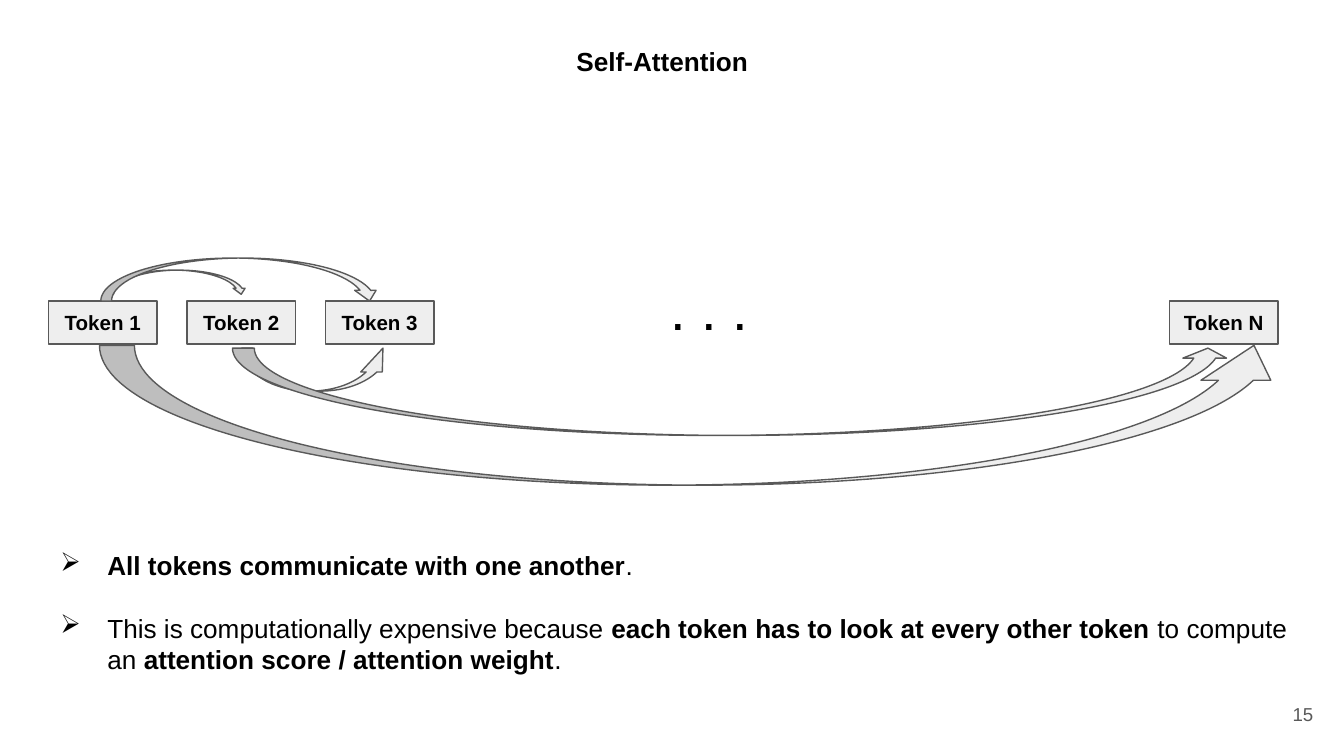
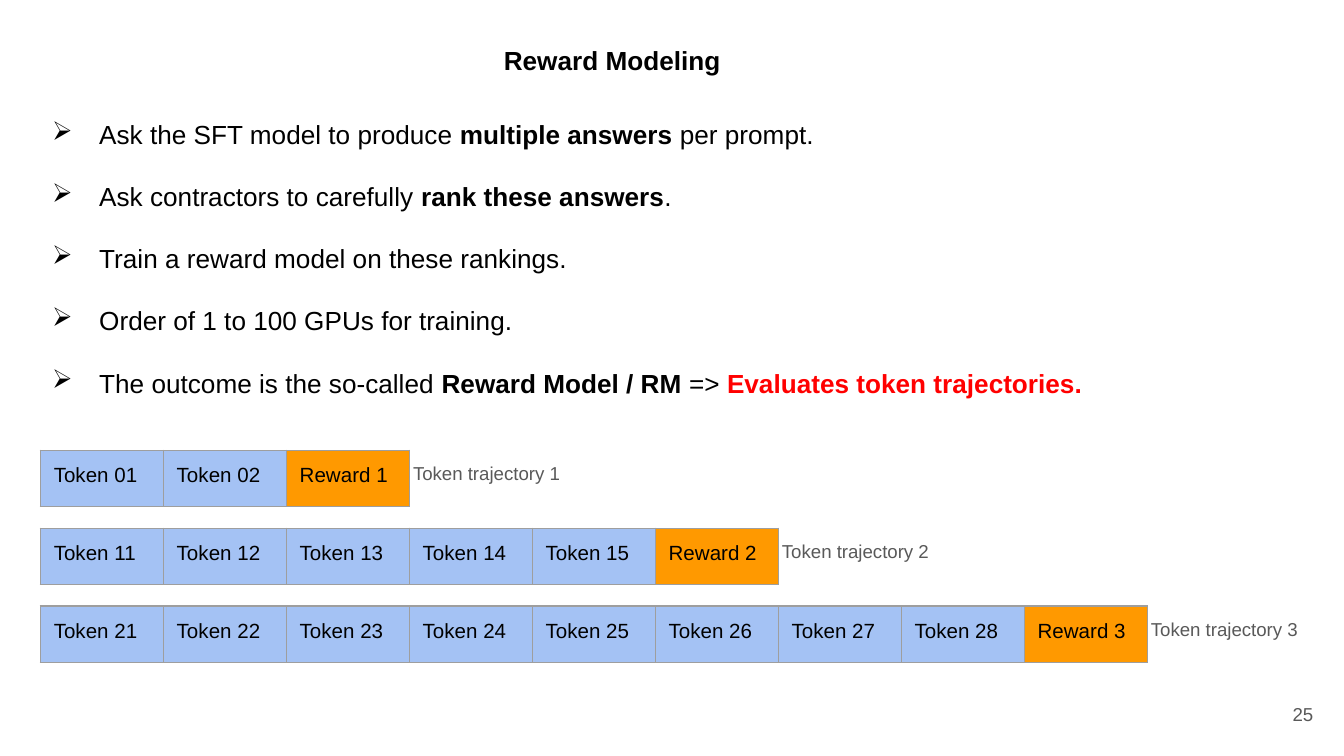
"""Build two slides on self-attention and reward modeling."""
from dataclasses import dataclass, replace
from typing import Any, NamedTuple

from lxml import etree
from pptx import Presentation
from pptx.dml.color import RGBColor
from pptx.enum.shapes import MSO_SHAPE
from pptx.enum.text import MSO_ANCHOR, PP_ALIGN
from pptx.oxml.ns import qn
from pptx.util import Inches, Length, Pt

RECTANGLE = MSO_SHAPE.RECTANGLE
ARROW_DOWN = MSO_SHAPE.CURVED_DOWN_ARROW
ARROW_UP = MSO_SHAPE.CURVED_UP_ARROW
TOP, MIDDLE = MSO_ANCHOR.TOP, MSO_ANCHOR.MIDDLE
LEFT, CENTER, RIGHT = PP_ALIGN.LEFT, PP_ALIGN.CENTER, PP_ALIGN.RIGHT
SLIDE_WIDTH, SLIDE_HEIGHT = Inches(10), Inches(5.625)
COLUMNS, ROWS = 100, 56.25


@dataclass(frozen=True)
class Theme:
    """Hold the colours, font and type sizes shared by the slides."""

    font: str = "Arial"
    ink: str = "000000"
    muted: str = "595959"
    alert: str = "FF0000"
    box: str = "EEEEEE"
    token: str = "A4C2F4"
    reward: str = "FF9900"
    border: str = "9E9E9E"
    body_size: float = 14
    token_size: float = 11
    small_size: float = 10
    dots_size: float = 30
    line_width: float = 0.75
    bullet_gap: float = 16.5


THEME = Theme()


class Area(NamedTuple):
    """Place an element in grid columns and rows."""

    column: float
    row: float
    width: float
    height: float

    def lengths(self) -> tuple[Length, Length, Length, Length]:
        """Return left, top, width and height as slide lengths."""
        return (across(self.column), down(self.row), across(self.width), down(self.height))


@dataclass(frozen=True)
class Run:
    """Describe a stretch of text with one format."""

    text: str
    bold: bool = False
    color: str = THEME.ink
    size: float = THEME.body_size


class Arrow(NamedTuple):
    """Describe a curved arrow and the share taken by its head."""

    preset: Any
    area: Area
    head: float = 0.25


class Trajectory(NamedTuple):
    """Describe a row of tokens that ends in a reward."""

    number: int
    tokens: int


TOKEN_ROW, TOKEN_WIDTH, TOKEN_HEIGHT = 22.4, 8.1, 3.2
TOKENS = {"Token 1": 3.6, "Token 2": 13.9, "Token 3": 24.2, "Token N": 87}
ARROWS = (
    Arrow(ARROW_DOWN, Area(8, 20.1, 10.4, 1.8)),
    Arrow(ARROW_DOWN, Area(7.5, 19.2, 20.8, 3.2)),
    Arrow(ARROW_UP, Area(7.4, 25.7, 88.5, 10.4)),
    Arrow(ARROW_UP, Area(18, 25.9, 11.3, 3.2), 0.555),
    Arrow(ARROW_UP, Area(17.3, 25.9, 74.2, 6.5), 0.115),
)
ATTENTION_POINTS = (
    (Run("All tokens communicate with one another", True), Run(".")),
    (
        Run("This is computationally expensive because "),
        Run("each token has to look at every other token", True),
        Run(" to compute an "),
        Run("attention score / attention weight", True),
        Run("."),
    ),
)
REWARD_POINTS = (
    (Run("Ask the SFT model to produce "), Run("multiple answers ", True), Run("per prompt.")),
    (Run("Ask contractors to carefully "), Run("rank these answers", True), Run(".")),
    (Run("Train a reward model on these rankings."),),
    (Run("Order of 1 to 100 GPUs for training."),),
    (
        Run("The outcome is the so-called "),
        Run("Reward Model / RM", True),
        Run(" => "),
        Run("Evaluates token trajectories.", True, THEME.alert),
    ),
)
TRAJECTORIES = (Trajectory(1, 2), Trajectory(2, 5), Trajectory(3, 8))
TABLE_CELLS = 3
CELL_WIDTH, CELL_HEIGHT = 9.15, 4.2
TRAJECTORY_LEFT, TRAJECTORY_TOP, TRAJECTORY_STEP = 3, 33.5, 5.8


def across(columns: float) -> Length:
    """Convert grid columns to a length."""
    return Length(round(SLIDE_WIDTH * columns / COLUMNS))


def down(rows: float) -> Length:
    """Convert grid rows to a length."""
    return Length(round(SLIDE_HEIGHT * rows / ROWS))


def add_runs(paragraph: Any, runs: tuple[Run, ...]) -> None:
    """Add formatted runs to a paragraph."""
    for item in runs:
        run = paragraph.add_run()
        run.text = item.text
        run.font.name = THEME.font
        run.font.size = Pt(item.size)
        run.font.bold = item.bold
        run.font.color.rgb = RGBColor.from_string(item.color)


def prepare_frame(frame: Any, anchor: Any) -> None:
    """Set wrapping, anchor and equal margins of a text frame."""
    frame.word_wrap = True
    frame.vertical_anchor = anchor
    frame.margin_left = frame.margin_right = across(1)
    frame.margin_top = frame.margin_bottom = down(1)


def add_text(shapes: Any, area: Area, run: Run, align: Any = LEFT, anchor: Any = TOP) -> None:
    """Add a text box with a single run."""
    frame = shapes.add_textbox(*area.lengths()).text_frame
    prepare_frame(frame, anchor)
    frame.paragraphs[0].alignment = align
    add_runs(frame.paragraphs[0], (run,))


def add_bullets(shapes: Any, area: Area, points: tuple[tuple[Run, ...], ...]) -> None:
    """Add a list with arrowhead bullets."""
    frame = shapes.add_textbox(*area.lengths()).text_frame
    prepare_frame(frame, TOP)
    for index, runs in enumerate(points):
        paragraph = frame.add_paragraph() if index else frame.paragraphs[0]
        properties = paragraph._p.get_or_add_pPr()
        properties.set("marL", str(across(5)))
        properties.set("indent", str(-across(3.5)))
        color = etree.SubElement(properties, qn("a:buClr"))
        etree.SubElement(color, qn("a:srgbClr"), val=THEME.ink)
        etree.SubElement(properties, qn("a:buChar"), char="➢")
        if index:
            paragraph.space_before = Pt(THEME.bullet_gap)
        add_runs(paragraph, runs)


def add_outlined(shapes: Any, preset: Any, area: Area) -> Any:
    """Add a preset shape in the pale diagram style."""
    shape = shapes.add_shape(preset, *area.lengths())
    shape.shadow.inherit = False
    shape.fill.solid()
    shape.fill.fore_color.rgb = RGBColor.from_string(THEME.box)
    shape.line.color.rgb = RGBColor.from_string(THEME.muted)
    shape.line.width = Pt(THEME.line_width)
    return shape


def add_token(shapes: Any, label: str, column: float) -> None:
    """Add a labelled token box."""
    shape = add_outlined(shapes, RECTANGLE, Area(column, TOKEN_ROW, TOKEN_WIDTH, TOKEN_HEIGHT))
    prepare_frame(shape.text_frame, MIDDLE)
    paragraph = shape.text_frame.paragraphs[0]
    paragraph.alignment = CENTER
    add_runs(paragraph, (Run(label, True, size=THEME.token_size),))


def add_arrow(shapes: Any, arrow: Arrow) -> None:
    """Add a curved arrow."""
    shape = add_outlined(shapes, arrow.preset, arrow.area)
    for index, value in enumerate((0.25, 0.5, arrow.head)):
        shape.adjustments[index] = value


def style_cell(cell: Any, label: str) -> None:
    """Fill, border and label a trajectory cell."""
    properties = cell._tc.get_or_add_tcPr()
    for side in ("lnL", "lnR", "lnT", "lnB"):
        line = etree.SubElement(properties, qn(f"a:{side}"), w=str(Pt(THEME.line_width)))
        fill = etree.SubElement(line, qn("a:solidFill"))
        etree.SubElement(fill, qn("a:srgbClr"), val=THEME.border)
    cell.fill.solid()
    color = THEME.reward if label.startswith("Reward") else THEME.token
    cell.fill.fore_color.rgb = RGBColor.from_string(color)
    cell.margin_left = cell.margin_right = across(1)
    cell.margin_top = cell.margin_bottom = down(1)
    add_runs(cell.text_frame.paragraphs[0], (Run(label, size=THEME.token_size),))


def add_trajectory(shapes: Any, trajectory: Trajectory, row: float) -> None:
    """Add a trajectory as adjoining tables with a caption."""
    labels = [f"Token {trajectory.number - 1}{index}" for index in range(1, trajectory.tokens + 1)]
    labels.append(f"Reward {trajectory.number}")
    for start in range(0, len(labels), TABLE_CELLS):
        part = labels[start:start + TABLE_CELLS]
        column = TRAJECTORY_LEFT + start * CELL_WIDTH
        area = Area(column, row, len(part) * CELL_WIDTH, CELL_HEIGHT)
        table = shapes.add_table(1, len(part), *area.lengths()).table
        table.first_row = table.horz_banding = False
        for cell, label in zip(table.rows[0].cells, part):
            style_cell(cell, label)
    end = TRAJECTORY_LEFT + len(labels) * CELL_WIDTH
    caption = Run(f"Token trajectory {trajectory.number}", color=THEME.muted, size=THEME.small_size)
    add_text(shapes, Area(end - 0.7, row, 15, 2.9), caption)


def add_slide(presentation: Any, title: str, area: Area, number: int) -> Any:
    """Add a blank slide with a title and page number and return its shapes."""
    shapes = presentation.slides.add_slide(presentation.slide_layouts[6]).shapes
    title_run = Run(title, True)
    add_text(shapes, area, title_run)
    page = replace(title_run, text=str(number), bold=False, color=THEME.muted, size=THEME.small_size)
    add_text(shapes, Area(92.7, 51, 6, 4.3), page, RIGHT, MIDDLE)
    return shapes


def build_attention(presentation: Any) -> None:
    """Build the self-attention slide."""
    shapes = add_slide(presentation, "Self-Attention", Area(41.9, 2.4, 15.1, 4.6), 15)
    diagram = shapes.add_group_shape().shapes
    for label, column in TOKENS.items():
        add_token(diagram, label, column)
    for arrow in ARROWS:
        add_arrow(diagram, arrow)
    add_text(diagram, Area(48.9, 19.4, 25.9, 3.2), Run(". . .", size=THEME.dots_size))
    add_bullets(shapes, Area(2, 39.9, 95.5, 14.9), ATTENTION_POINTS)


def build_reward(presentation: Any) -> None:
    """Build the reward modeling slide."""
    shapes = add_slide(presentation, "Reward Modeling", Area(36.5, 2.3, 19.2, 4.6), 25)
    add_bullets(shapes, Area(1.4, 7.8, 83.3, 25.6), REWARD_POINTS)
    for index, trajectory in enumerate(TRAJECTORIES):
        add_trajectory(shapes, trajectory, TRAJECTORY_TOP + index * TRAJECTORY_STEP)


def main() -> None:
    """Build and save the presentation."""
    presentation = Presentation()
    presentation.slide_width = SLIDE_WIDTH
    presentation.slide_height = SLIDE_HEIGHT
    build_attention(presentation)
    build_reward(presentation)
    presentation.save("out.pptx")


if __name__ == "__main__":
    main()
